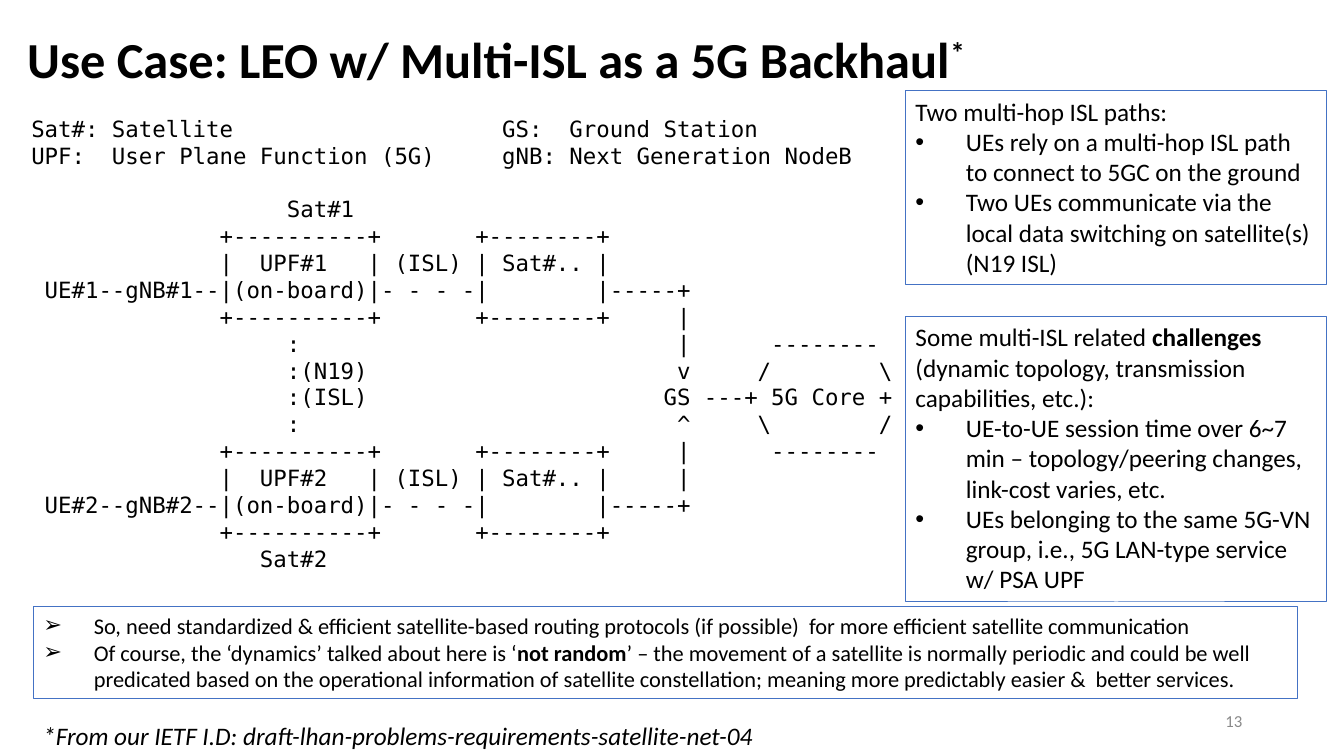
from dataclasses import dataclass

from lxml import etree
from pptx import Presentation, util as u
from pptx.dml.color import RGBColor
from pptx.enum import text
from pptx.oxml.ns import qn


@dataclass(frozen=True)
class Theme:
    font: str = "Calibri"
    mono: str = "DejaVu Sans Mono"
    ink: str = "000000"
    muted: str = "898989"
    outline: str = "4472C4"
    title: float = 36
    body: float = 18
    small: float = 16
    number: float = 12
    mono_line: float = 19.2
    hanging: float = 1.27


@dataclass(frozen=True)
class Box:
    left: float
    top: float
    width: float
    height: float


@dataclass(frozen=True)
class Panel:
    placeholder: int
    box: Box
    size: float
    bullet: str
    items: tuple[str, ...]
    intro: str = ""


THEME = Theme()

PANELS = (
    Panel(1, Box(22.81, 2.29, 10.62, 4.88), THEME.body, "•",
          ("UEs rely on a multi-hop ISL path to connect to 5GC on the ground",
           "Two UEs communicate via the local data switching on satellite(s) (N19 ISL)"),
          "Two multi-hop ISL paths:"),
    Panel(2, Box(22.81, 7.98, 10.62, 7.19), THEME.body, "•",
          ("UE-to-UE session time over 6~7 min – topology/peering changes, link-cost varies, etc.",
           "UEs belonging to the same 5G-VN group, i.e., 5G LAN-type service w/ PSA UPF"),
          "Some multi-ISL related **challenges** (dynamic topology, transmission capabilities, etc.):"),
    Panel(3, Box(0.84, 15.29, 31.85, 2.31), THEME.small, "➢",
          ("So, need standardized & efficient satellite-based routing protocols (if possible)  "
           "for more efficient satellite communication",
           "Of course, the ‘dynamics’ talked about here is ‘**not random**’ – the movement of a "
           "satellite is normally periodic and could be well predicated based on the operational "
           "information of satellite constellation; meaning more predictably easier &  better services.")),
)

LEGEND = r"""
Sat#: Satellite                    GS:  Ground Station
UPF:  User Plane Function (5G)     gNB: Next Generation NodeB
""".strip("\n")

DIAGRAM = r"""
                   Sat#1
              +----------+       +--------+
              |  UPF#1   | (ISL) | Sat#.. |
 UE#1--gNB#1--|(on-board)|- - - -|        |-----+
              +----------+       +--------+     |
                   :                            |      --------
                   :(N19)                       v     /        \
                   :(ISL)                      GS ---+ 5G Core +
                   :                            ^     \        /
              +----------+       +--------+     |      --------
              |  UPF#2   | (ISL) | Sat#.. |     |
 UE#2--gNB#2--|(on-board)|- - - -|        |-----+
              +----------+       +--------+
                 Sat#2
""".strip("\n")


def place(shape, box: Box) -> None:
    shape.left, shape.top = u.Cm(box.left), u.Cm(box.top)
    shape.width, shape.height = u.Cm(box.width), u.Cm(box.height)


def style(font, size: float, color: str = THEME.ink, name: str = THEME.font,
          bold: bool = False, italic: bool = False) -> None:
    font.size, font.name = u.Pt(size), name
    font.bold, font.italic = bold, italic
    font.color.rgb = RGBColor.from_string(color)


def set_bullet(paragraph, bullet: str) -> None:
    properties = paragraph._p.get_or_add_pPr()
    indent = u.Cm(THEME.hanging) if bullet else 0
    properties.set("marL", str(indent))
    properties.set("indent", str(-indent))
    if bullet:
        etree.SubElement(properties, qn("a:buFont")).set("typeface", "Arial")
        etree.SubElement(properties, qn("a:buChar")).set("char", bullet)
    else:
        etree.SubElement(properties, qn("a:buNone"))


def add_title(slide) -> None:
    title = slide.shapes.title
    place(title, Box(0.43, 0.36, 25.4, 2.41))
    frame = title.text_frame
    frame.text = "Use Case: LEO w/ Multi-ISL as a 5G Backhaul"
    frame.auto_size = text.MSO_AUTO_SIZE.NONE
    frame.vertical_anchor = text.MSO_ANCHOR.MIDDLE
    paragraph = frame.paragraphs[0]
    paragraph.alignment = text.PP_ALIGN.LEFT
    paragraph.line_spacing = 0.9
    star = paragraph.add_run()
    star.text = "*"
    for run in paragraph.runs:
        style(run.font, THEME.title, bold=True)
    star._r.get_or_add_rPr().set("baseline", "30000")


def add_panel(slide, panel: Panel) -> None:
    shape = slide.placeholders[panel.placeholder]
    place(shape, panel.box)
    shape.line.color.rgb = RGBColor.from_string(THEME.outline)
    shape.line.width = u.Pt(0.75)
    frame = shape.text_frame
    frame.auto_size = text.MSO_AUTO_SIZE.NONE
    frame.vertical_anchor = text.MSO_ANCHOR.TOP
    rows = [(panel.intro, "")] if panel.intro else []
    rows += [(item, panel.bullet) for item in panel.items]
    for index, (wording, bullet) in enumerate(rows):
        paragraph = frame.add_paragraph() if index else frame.paragraphs[0]
        set_bullet(paragraph, bullet)
        paragraph.space_before = u.Pt(0)
        for part, segment in enumerate(wording.split("**")):
            run = paragraph.add_run()
            run.text = segment
            style(run.font, panel.size, bold=part % 2 == 1)


def add_text(slide, box: Box, wording: str, size: float, color: str = THEME.ink,
             name: str = THEME.font, italic: bool = False):
    shape = slide.shapes.add_textbox(0, 0, 0, 0)
    place(shape, box)
    frame = shape.text_frame
    frame.word_wrap = True
    frame.text = wording
    for paragraph in frame.paragraphs:
        for run in paragraph.runs:
            style(run.font, size, color, name, italic=italic)
    return frame


def add_diagram(slide) -> None:
    frame = add_text(slide, Box(0.54, 2.77, 23, 11.89), f"{LEGEND}\n{DIAGRAM}",
                     THEME.small, name=THEME.mono)
    for paragraph in frame.paragraphs:
        paragraph.line_spacing = u.Pt(THEME.mono_line)
    first_row = len(LEGEND.splitlines())
    frame.paragraphs[first_row].space_before = u.Pt(THEME.mono_line)


def main() -> None:
    presentation = Presentation()
    presentation.slide_width, presentation.slide_height = u.Cm(33.86), u.Cm(19.05)
    slide = presentation.slides.add_slide(presentation.slide_layouts.get_by_name("Comparison"))
    add_title(slide)
    add_diagram(slide)
    for panel in PANELS:
        add_panel(slide, panel)
    spare = slide.placeholders[4]._element
    spare.getparent().remove(spare)
    number = add_text(slide, Box(23.93, 17.65, 7.62, 1.02), "13", THEME.number, THEME.muted)
    number.vertical_anchor = text.MSO_ANCHOR.MIDDLE
    number.paragraphs[0].alignment = text.PP_ALIGN.RIGHT
    add_text(slide, Box(0.84, 18.03, 19.3, 1.02),
             "*From our IETF I.D: draft-lhan-problems-requirements-satellite-net-04",
             THEME.body, italic=True)
    presentation.save("out.pptx")


if __name__ == "__main__":
    main()
